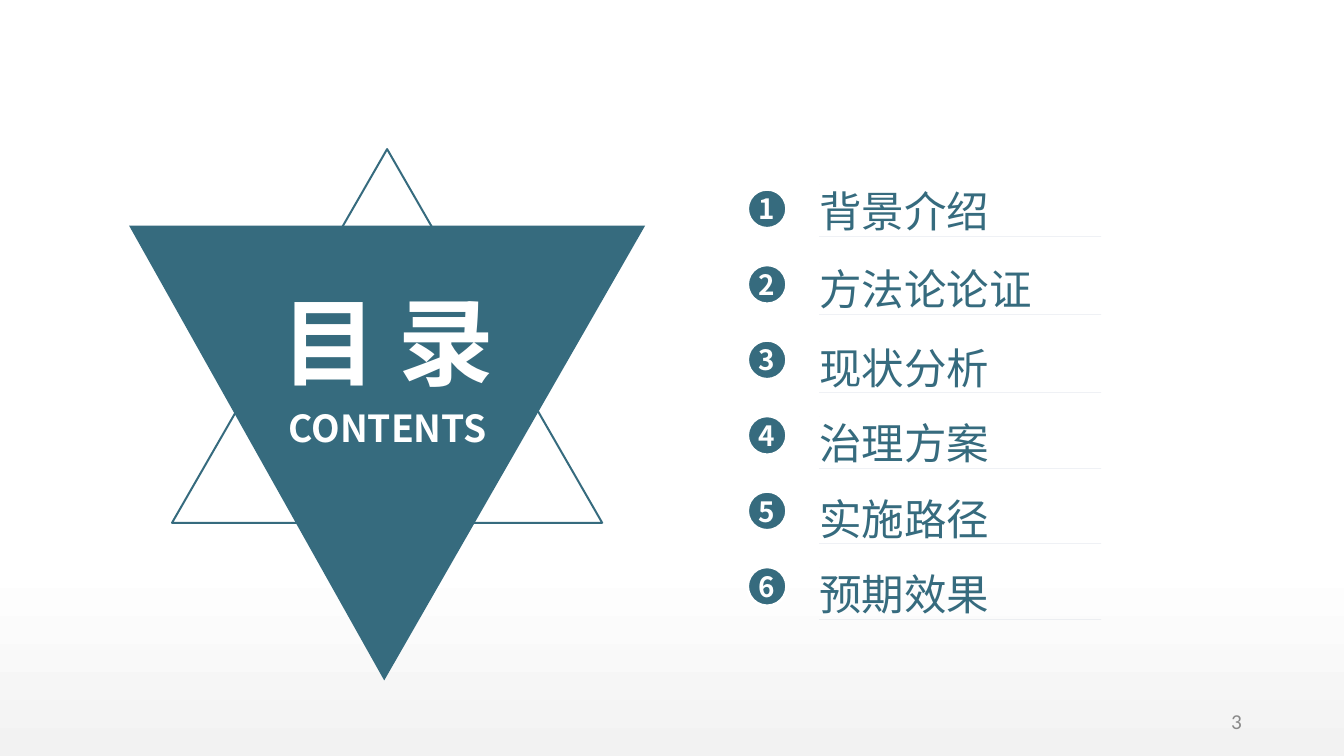
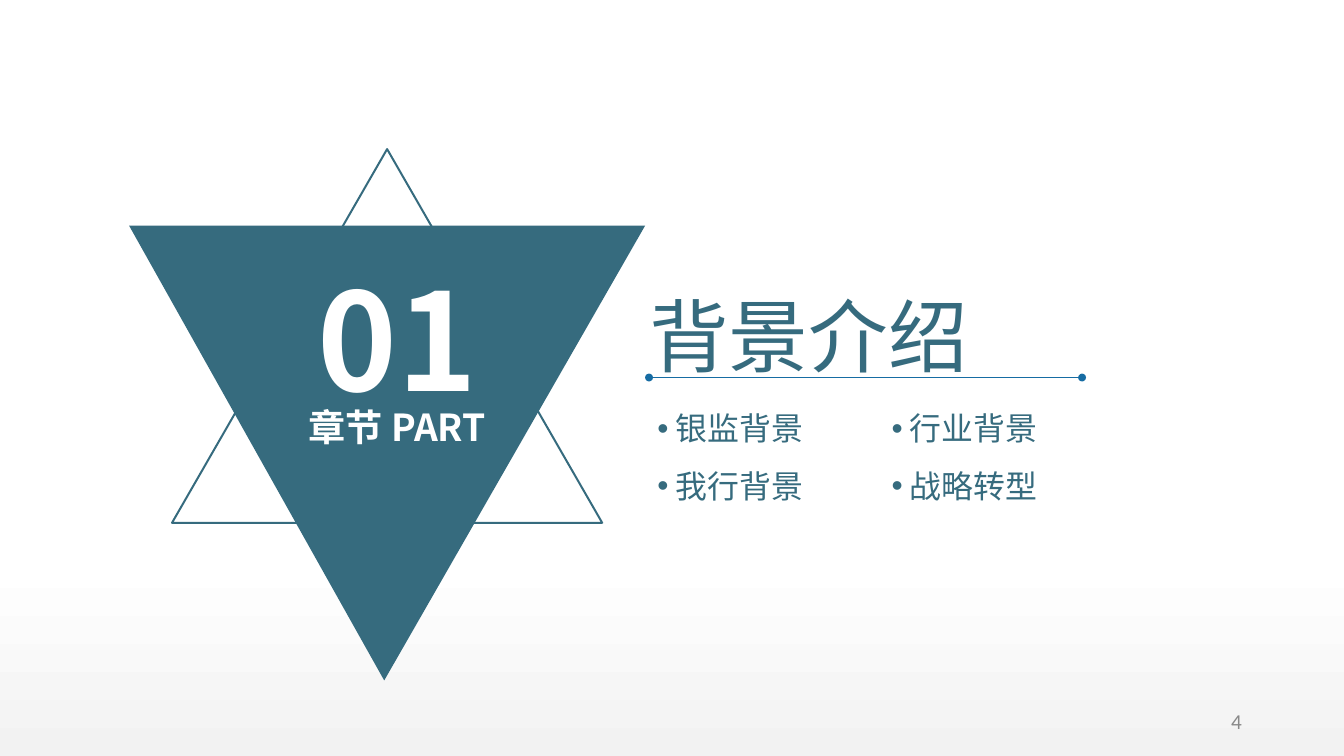
from lxml import etree
from pptx import Presentation
from pptx.dml.color import RGBColor
from pptx.enum.shapes import MSO_CONNECTOR, MSO_SHAPE
from pptx.enum.text import MSO_ANCHOR, MSO_AUTO_SIZE, PP_ALIGN
from pptx.oxml.ns import qn
from pptx.util import Inches, Pt

TEAL = RGBColor(0x36, 0x6B, 0x7E)
WHITE = RGBColor(0xFF, 0xFF, 0xFF)
PALE = RGBColor(0xF2, 0xF2, 0xF2)
GREY = RGBColor(0x89, 0x89, 0x89)
BLUE = RGBColor(0x16, 0x6C, 0xA3)
SLATE = RGBColor(0x84, 0x97, 0xB0)

LEFT, CENTER, RIGHT = PP_ALIGN.LEFT, PP_ALIGN.CENTER, PP_ALIGN.RIGHT
TOP, MIDDLE = MSO_ANCHOR.TOP, MSO_ANCHOR.MIDDLE
FIXED = MSO_AUTO_SIZE.NONE
OVAL = MSO_SHAPE.OVAL
STRAIGHT = MSO_CONNECTOR.STRAIGHT
FONT = "Noto Sans CJK SC"


def write(shape, lines, size, tint=WHITE, bold=True, align=CENTER,
          anchor=TOP, pad=0, font=FONT):
    frame = shape.text_frame
    frame.word_wrap = True
    frame.auto_size = FIXED
    frame.vertical_anchor = anchor
    frame.margin_left = frame.margin_right = Inches(pad)
    frame.margin_top = frame.margin_bottom = Inches(pad / 2)
    for i, line in enumerate(lines):
        para = frame.paragraphs[0] if i == 0 else frame.add_paragraph()
        para.alignment = align
        run = para.add_run()
        run.text = line
        run.font.size = Pt(size)
        run.font.bold = bold
        run.font.color.rgb = tint
        run.font.name = font
        east = etree.SubElement(run._r.get_or_add_rPr(), qn("a:ea"))
        east.set("typeface", font)
    return frame


def carve(slide, paths, fill=None, line=None):
    spots = [[(Inches(x), Inches(y)) for x, y in points] for points in paths]
    pen = slide.shapes.build_freeform(*spots[0][0])
    pen.add_line_segments(spots[0][1:], close=True)
    for points in spots[1:]:
        pen.move_to(*points[0])
        pen.add_line_segments(points[1:], close=True)
    shape = pen.convert_to_shape()
    shape.shadow.inherit = False
    if fill:
        shape.fill.solid()
        shape.fill.fore_color.rgb = fill
    else:
        shape.fill.background()
    if line:
        shape.line.color.rgb = line
        shape.line.width = Pt(1.5)
    else:
        shape.line.fill.background()
    return shape


prs = Presentation()
prs.slide_width = Inches(14.06)
prs.slide_height = Inches(7.91)

back = prs.slide_master.background.fill
back.gradient()
back.gradient_angle = 90
for stop, spot, tint in zip(back.gradient_stops, (0, 0.26), (PALE, WHITE)):
    stop.position = spot
    stop.color.rgb = tint

HEADS = [
    ("目 录", 72, WHITE, True, CENTER, MIDDLE, (2.62, 2.96, 2.87, 1.21)),
    ("背景介绍", 60, TEAL, False, LEFT, TOP, (6.79, 3, 4.89, 1.01)),
]

slides = []
for page, (head, size, ink, bold, align, anchor, place) in enumerate(HEADS, 3):
    slide = prs.slides.add_slide(prs.slide_layouts[5])
    slides.append(slide)
    carve(slide, [[(4.05, 1.56), (6.3, 5.47), (1.8, 5.47)]], line=TEAL)
    carve(slide, [[(1.35, 2.36), (6.75, 2.36), (4.02, 7.12)]], fill=TEAL)
    title = slide.shapes.title
    title.left, title.top, title.width, title.height = map(Inches, place)
    write(title, [head], size, ink, bold, align, anchor)
    slide.shapes._spTree.append(title._element)
    box = slide.shapes.add_textbox(
        Inches(9.93), Inches(7.33), Inches(3.16), Inches(0.42))
    write(box, [str(page)], 16, GREY, False, RIGHT, MIDDLE, 0.1, "Calibri")

menu, part = slides

LABELS = [
    (menu, "CONTENTS", 28, (2.78, 4.24, 2.55, 0.47)),
    (part, "01", 102, (3.23, 2.68, 1.85, 1.72)),
    (part, "章节 PART", 28, (2.26, 4.23, 3.79, 0.47)),
]
for slide, text, size, place in LABELS:
    write(slide.shapes.add_textbox(*map(Inches, place)), [text], size)

TOPICS = [
    ("背景介绍", 1.93),
    ("方法论论证", 2.75),
    ("现状分析", 3.57),
    ("治理方案", 4.36),
    ("实施路径", 5.15),
    ("预期效果", 5.94),
]
for i, (topic, top) in enumerate(TOPICS):
    dot = menu.shapes.add_shape(
        OVAL, Inches(7.82), Inches(1.98 + 0.79 * i), Inches(0.41), Inches(0.41))
    dot.shadow.inherit = False
    dot.fill.solid()
    dot.fill.fore_color.rgb = TEAL
    dot.line.color.rgb = WHITE
    dot.line.width = Pt(2.25)
    write(dot, [str(i + 1)], 21, anchor=MIDDLE)
    base = top + 0.54
    rule = [(8.57, base), (11.52, base), (8.57, base)]
    corner = [(8.57, top)] * 3
    row = carve(menu, [rule, corner], fill=SLATE)
    write(row, [topic], 32, TEAL, False, LEFT, MIDDLE)

line = part.shapes.add_connector(
    STRAIGHT, Inches(6.79), Inches(3.95), Inches(11.32), Inches(3.95))
line.line.color.rgb = BLUE
line.line.width = Pt(1.25)
for tag in ("a:headEnd", "a:tailEnd"):
    etree.SubElement(line.line._get_or_add_ln(), qn(tag)).set("type", "oval")
etree.SubElement(line._element.spPr, qn("a:effectLst"))

POINTS = [
    (6.78, ["银监背景", "我行背景"]),
    (9.23, ["行业背景", "战略转型"]),
]
for left, lines in POINTS:
    box = part.shapes.add_textbox(
        Inches(left), Inches(4.03), Inches(1.74), Inches(1.24))
    frame = write(box, lines, 24, TEAL, False, LEFT, pad=0.1)
    frame.word_wrap = False
    for para in frame.paragraphs:
        para.line_spacing = 1.5
        props = para._p.get_or_add_pPr()
        props.set("marL", str(Inches(0.19)))
        props.set("indent", str(Inches(-0.19)))
        etree.SubElement(props, qn("a:buFont")).set("typeface", "Arial")
        etree.SubElement(props, qn("a:buChar")).set("char", "•")

prs.save("out.pptx")
